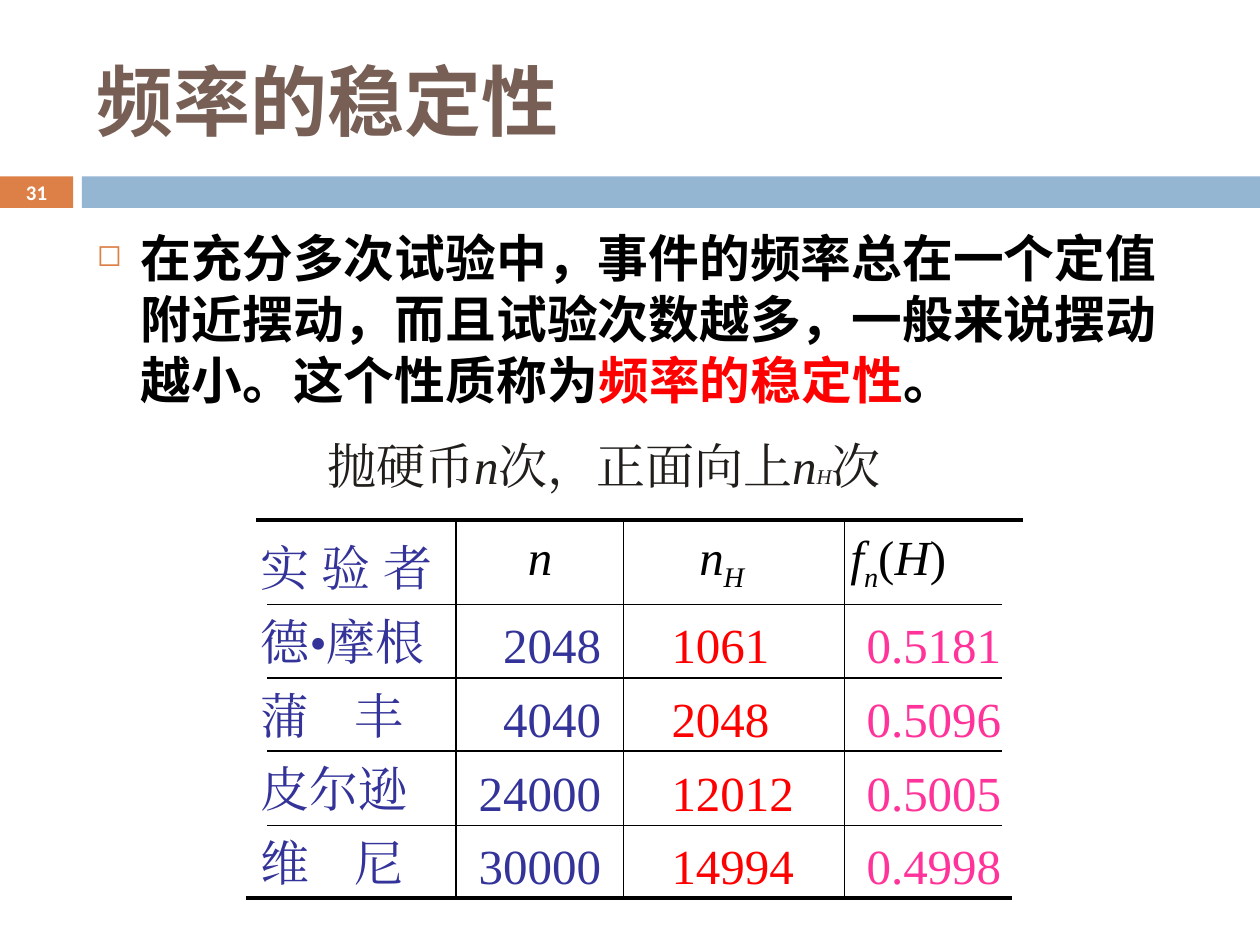
from lxml.etree import SubElement
from pptx import Presentation
from pptx.dml.color import RGBColor
from pptx.enum.shapes import MSO_CONNECTOR, MSO_SHAPE
from pptx.enum.text import MSO_ANCHOR as ANCHOR, PP_ALIGN as ALIGN
from pptx.oxml.ns import qn
from pptx.util import Pt

PX = 9144  # 100 px to the inch
SERIF = "Times New Roman"
SANS = "Calibri"
COLORS = {
    "orange": "DD8047", "blue": "94B6D2", "brown": "775F55", "black": "000000",
    "red": "FF0000", "white": "FFFFFF", "navy": "333399", "pink": "FF3399",
    "ink": "201D1A",
}


def add_text_frame(left, top, width, height, inset_left=10, inset_right=10):
    box = slide.shapes.add_textbox(left * PX, top * PX, width * PX, height * PX)
    frame = box.text_frame
    frame.word_wrap = True
    frame.margin_left, frame.margin_right = inset_left * PX, inset_right * PX
    return frame


def add_run(paragraph, text, size, color, font=SERIF, bold=False, italic=False, baseline=0):
    """Add one run; the font covers Chinese characters too, baseline is in percent."""
    run = paragraph.add_run()
    run.text = text
    run.font.size = Pt(size)
    run.font.bold, run.font.italic = bold, italic
    run.font.color.rgb = RGBColor.from_string(COLORS[color])
    run.font.name = font
    properties = run.font._element
    SubElement(properties, qn("a:ea"), typeface=font)
    if baseline:
        properties.set("baseline", str(baseline * 1000))


presentation = Presentation()
presentation.slide_width, presentation.slide_height = 1000 * PX, 750 * PX
slide = presentation.slides.add_slide(presentation.slide_layouts[6])

# Band under the title
for left, width, color in [(0, 58, "orange"), (65, 935, "blue")]:
    bar = slide.shapes.add_shape(MSO_SHAPE.RECTANGLE, left * PX, 140 * PX, width * PX, 25 * PX)
    bar.shadow.inherit = False
    bar.fill.solid()
    bar.fill.fore_color.rgb = RGBColor.from_string(COLORS[color])
    bar.line.fill.background()

title = add_text_frame(67, 25, 892, 108)
title.vertical_anchor = ANCHOR.MIDDLE
add_run(title.paragraphs[0], "频率的稳定性", 44, "brown", SANS, bold=True)

number = add_text_frame(0, 139, 58, 27)
number.vertical_anchor = ANCHOR.MIDDLE
number.paragraphs[0].alignment = ALIGN.CENTER
add_run(number.paragraphs[0], "31", 11.9, "white", SANS, bold=True)

# Bulleted statement
statement = add_text_frame(67, 175, 892, 200).paragraphs[0]
statement.space_before = Pt(7)
properties = statement._p.get_or_add_pPr()
properties.set("marL", str(35 * PX))
properties.set("indent", str(-35 * PX))
bullet_color = SubElement(properties, qn("a:buClr"))
SubElement(bullet_color, qn("a:srgbClr"), val=COLORS["orange"])
SubElement(properties, qn("a:buSzPct"), val="60000")
SubElement(properties, qn("a:buChar"), char="◻")
for text, color in [
    ("在充分多次试验中，事件的频率总在一个定值附近摆动，而且试验次数越多，一般来说摆动越小。这个性质称为", "black"),
    ("频率的稳定性", "red"),
    ("。", "black"),
]:
    add_run(statement, text, 29, color, SANS, bold=True)

# Rules of the table: thick top and bottom, thin inside
rules = [(203, 413, 812, 413, 2.25), (195, 713, 803, 713, 2.25)]
rules += [(x, 413, x, 713, 0.75) for x in (362, 495, 670)]
rules += [(212, y, 795, y, 0.75) for y in (480, 538, 596, 655)]
for x1, y1, x2, y2, weight in rules:
    rule = slide.shapes.add_connector(MSO_CONNECTOR.STRAIGHT, x1 * PX, y1 * PX, x2 * PX, y2 * PX)
    rule.line.color.rgb = RGBColor.from_string(COLORS["black"])
    rule.line.width = Pt(weight)
    SubElement(rule._element.spPr, qn("a:effectLst"))

# Columns: left, top, width, height, insets, alignment, colour, entries
columns = [
    (178, 431, 208, 290, 29, 0, ALIGN.LEFT, "navy",
     ["实 验 者", "德•摩根", "蒲\t丰", "皮尔逊", "维\t尼"]),
    (370, 492, 133, 230, 10, 26, ALIGN.RIGHT, "navy", ["2048", "4040", "24000", "30000"]),
    (503, 492, 154, 232, 30, 10, ALIGN.LEFT, "red", ["1061", "2048", "12012", "14994"]),
    (678, 492, 133, 230, 10, 10, ALIGN.LEFT, "pink", ["0.5181", "0.5096", "0.5005", "0.4998"]),
]
tabbed = []
for left, top, width, height, inset_left, inset_right, alignment, color, entries in columns:
    frame = add_text_frame(left, top, width, height, inset_left, inset_right)
    for index, entry in enumerate(entries):
        paragraph = frame.add_paragraph() if index else frame.paragraphs[0]
        paragraph.alignment = alignment
        paragraph.line_spacing = 0.8
        paragraph.space_before = Pt(15.2 if index else 0)
        add_run(paragraph, entry, 28, color)
        if "\t" in entry:
            tabbed.append((paragraph, [74]))

header = add_text_frame(370, 413, 500, 57, inset_left=49).paragraphs[0]
tabbed.append((header, [136, 256]))
for text, italic, baseline in [
    ("n\tn", True, 0), ("H", True, -25), ("\tf", True, 0), ("n", True, -25),
    ("(", False, 0), ("H", True, 0), (")", False, 0),
]:
    add_run(header, text, 28, "black", italic=italic, baseline=baseline)

for paragraph, stops in tabbed:
    tab_list = SubElement(paragraph._p.get_or_add_pPr(), qn("a:tabLst"))
    for stop in stops:
        SubElement(tab_list, qn("a:tab"), pos=str(stop * PX), algn="l")

caption = add_text_frame(250, 341, 500, 57).paragraphs[0]
for text, size, italic in [
    ("抛硬币", 28, False), ("n", 28, True), ("次，正面向上", 28, False),
    ("n", 28, True), ("H", 12, True), ("次", 28, False),
]:
    add_run(caption, text, size, "ink", italic=italic)

presentation.save("out.pptx")
